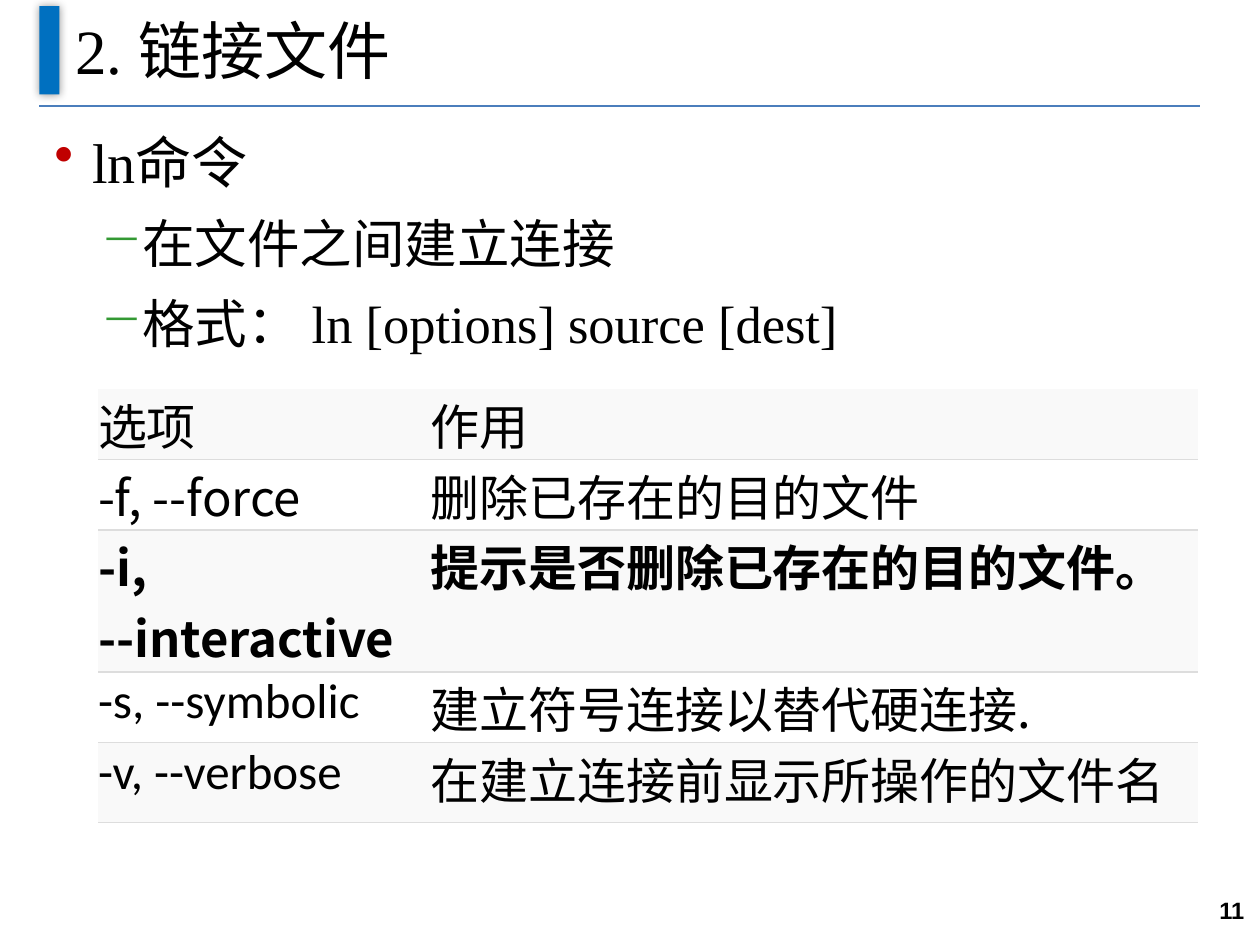
from dataclasses import dataclass

from lxml.etree import SubElement
from pptx import Presentation
from pptx.dml.color import RGBColor
from pptx.enum.shapes import MSO_CONNECTOR, MSO_SHAPE
from pptx.enum.text import MSO_ANCHOR, PP_ALIGN
from pptx.oxml import parse_xml
from pptx.oxml.ns import nsdecls, qn
from pptx.util import Pt


@dataclass(frozen=True)
class Theme:
    black: str = "000000"
    bar: str = "0070C0"
    rule: str = "4B7EBC"
    bullet: str = "C00000"
    dash: str = "339933"
    border: str = "DDDDDD"
    bands: tuple = ("F9F9F9", "FFFFFF")
    serif: str = "Times New Roman"
    sans: str = "Calibri"
    cjk: str = "Noto Sans CJK SC"
    number_font: str = "Arial"
    title: float = 36
    body: float = 32
    sub: float = 30
    cell: float = 28
    number: float = 13.5
    body_line: float = 36.5


T = Theme()
NO_STYLE = "{2D5ABB26-0587-4C30-8999-92F81FD0307C}"

# Options table: row height, then (text, font, bold) for each column
ROWS = [
    (40.5, ("选项", T.sans, False), ("作用", T.sans, False)),
    (40.5, ("-f, --force", T.cjk, False), ("删除已存在的目的文件", T.cjk, False)),
    (81, ("-i,\n--interactive", T.cjk, True), ("提示是否删除已存在的目的文件。", T.cjk, True)),
    (40.5, ("-s, --symbolic", T.sans, False), ("建立符号连接以替代硬连接.", T.cjk, False)),
    (45.5, ("-v, --verbose", T.sans, False), ("在建立连接前显示所操作的文件名", T.cjk, False)),
]
COLUMNS = (190, 438.5)


def rgb(value):
    return RGBColor.from_string(value)


def add_run(p, text, size, font, bold=False):
    r = p.add_run()
    r.text = text
    r.font.size = Pt(size)
    r.font.name = font
    r.font.bold = bold
    r.font.color.rgb = rgb(T.black)
    east = SubElement(r.font._element, qn("a:ea"))
    east.set("typeface", T.cjk)


def add_text_box(s, left, top, width, height, anchor=MSO_ANCHOR.MIDDLE):
    tf = s.shapes.add_textbox(Pt(left), Pt(top), Pt(width), Pt(height)).text_frame
    tf.word_wrap = True
    tf.vertical_anchor = anchor
    return tf


def add_bullet(p, char, color, margin, hang):
    pPr = p._p.get_or_add_pPr()
    pPr.set("marL", str(Pt(margin)))
    pPr.set("indent", str(-Pt(hang)))
    pPr.append(parse_xml(
        f'<a:buClr {nsdecls("a")}><a:srgbClr val="{color}"/></a:buClr>'))
    pPr.append(parse_xml(f'<a:buChar {nsdecls("a")} char="{char}"/>'))


def add_header(s):
    # Rule under the title
    line = s.shapes.add_connector(
        MSO_CONNECTOR.STRAIGHT, Pt(22.5), Pt(60.5), Pt(686), Pt(60.5))
    line.line.color.rgb = rgb(T.rule)
    line.line.width = Pt(0.75)
    SubElement(line._element.spPr, qn("a:effectLst"))

    # Bar with a soft glow-like shadow
    bar = s.shapes.add_shape(
        MSO_SHAPE.RECTANGLE, Pt(22.5), Pt(3.5), Pt(11.5), Pt(50.5))
    bar.fill.solid()
    bar.fill.fore_color.rgb = rgb(T.bar)
    bar.line.fill.background()
    bar.shadow.inherit = False
    effects = bar._element.spPr.find(qn("a:effectLst"))
    effects.append(parse_xml(
        f'<a:outerShdw {nsdecls("a")} blurRad="{Pt(5)}" dist="0" dir="0">'
        f'<a:srgbClr val="{T.black}"><a:alpha val="40000"/></a:srgbClr>'
        '</a:outerShdw>'))

    # Title
    tf = add_text_box(s, 36, -2, 648, 60.5)
    add_run(tf.paragraphs[0], "2. 链接文件", T.title, T.serif)


def add_body(s):
    tf = add_text_box(s, 24, 65.5, 661, 456.5, MSO_ANCHOR.TOP)
    tf.margin_top = Pt(9)
    top = ("•", T.bullet, 21.5, 21.5)
    sub = ("─", T.dash, 47.5, 21)
    items = [
        ("ln命令", T.body, 0, top),
        ("在文件之间建立连接", T.sub, 1, sub),
        ("格式： ln [options] source [dest]", T.sub, 1, sub),
    ]
    for i, (text, size, level, bullet) in enumerate(items):
        p = tf.add_paragraph() if i else tf.paragraphs[0]
        p.level = level
        p.alignment = PP_ALIGN.JUSTIFY
        p.line_spacing = Pt(T.body_line)
        p.space_before = Pt(4.5 if i else 0)
        p.space_after = Pt(4.5)
        add_bullet(p, *bullet)
        add_run(p, text, size, T.serif)


def set_borders(cell, sides):
    tcPr = cell._tc.get_or_add_tcPr()
    for i, side in enumerate(sides):
        tcPr.insert(i, parse_xml(
            f'<a:{side} {nsdecls("a")} w="{Pt(1)}"><a:solidFill>'
            f'<a:srgbClr val="{T.border}"/></a:solidFill></a:{side}>'))


def fill_cell(cell, text, font, bold, band):
    cell.margin_left = cell.margin_right = 0
    cell.margin_top = cell.margin_bottom = 0
    cell.fill.solid()
    cell.fill.fore_color.rgb = rgb(band)
    tf = cell.text_frame
    for i, part in enumerate(text.split("\n")):
        p = tf.add_paragraph() if i else tf.paragraphs[0]
        p.alignment = PP_ALIGN.JUSTIFY
        add_run(p, part, T.cell, font, bold)


def add_options_table(s):
    height = sum(row[0] for row in ROWS)
    table = s.shapes.add_table(
        len(ROWS), len(COLUMNS), Pt(56), Pt(222),
        Pt(sum(COLUMNS)), Pt(height)).table
    table.first_row = table.horz_banding = False
    table._tbl.tblPr.find(qn("a:tableStyleId")).text = NO_STYLE
    for column, width in zip(table.columns, COLUMNS):
        column.width = Pt(width)
    for i, (row_height, *cells) in enumerate(ROWS):
        table.rows[i].height = Pt(row_height)
        for j, content in enumerate(cells):
            cell = table.cell(i, j)
            fill_cell(cell, *content, T.bands[i % 2])
            set_borders(cell, ("lnT", "lnB") if i else ("lnB",))


def add_page_number(s):
    tf = add_text_box(s, 651, 500.5, 67, 39.5)
    p = tf.paragraphs[0]
    p.alignment = PP_ALIGN.RIGHT
    add_run(p, "11", T.number, T.number_font, bold=True)


def main():
    prs = Presentation()
    prs.slide_width, prs.slide_height = Pt(720), Pt(540)
    s = prs.slides.add_slide(prs.slide_layouts[6])
    add_header(s)
    add_body(s)
    add_page_number(s)
    add_options_table(s)
    prs.save("out.pptx")


if __name__ == "__main__":
    main()
